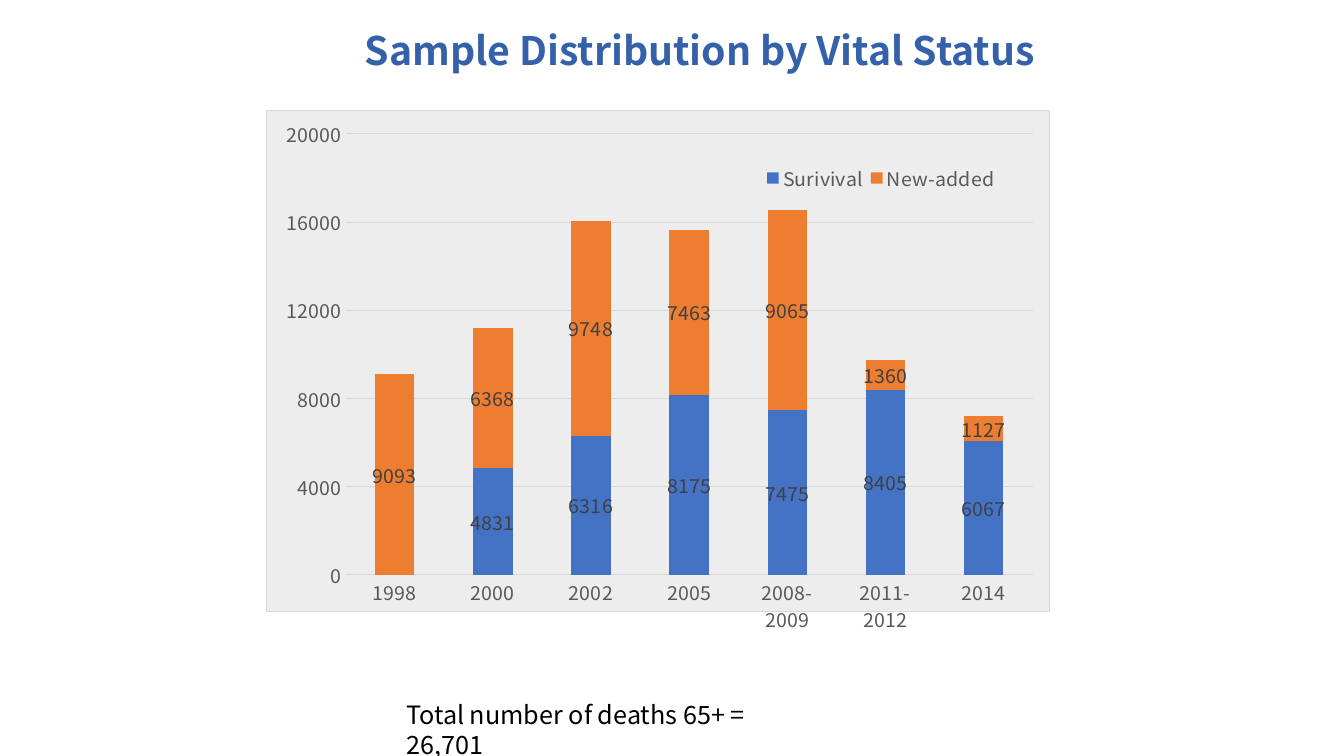
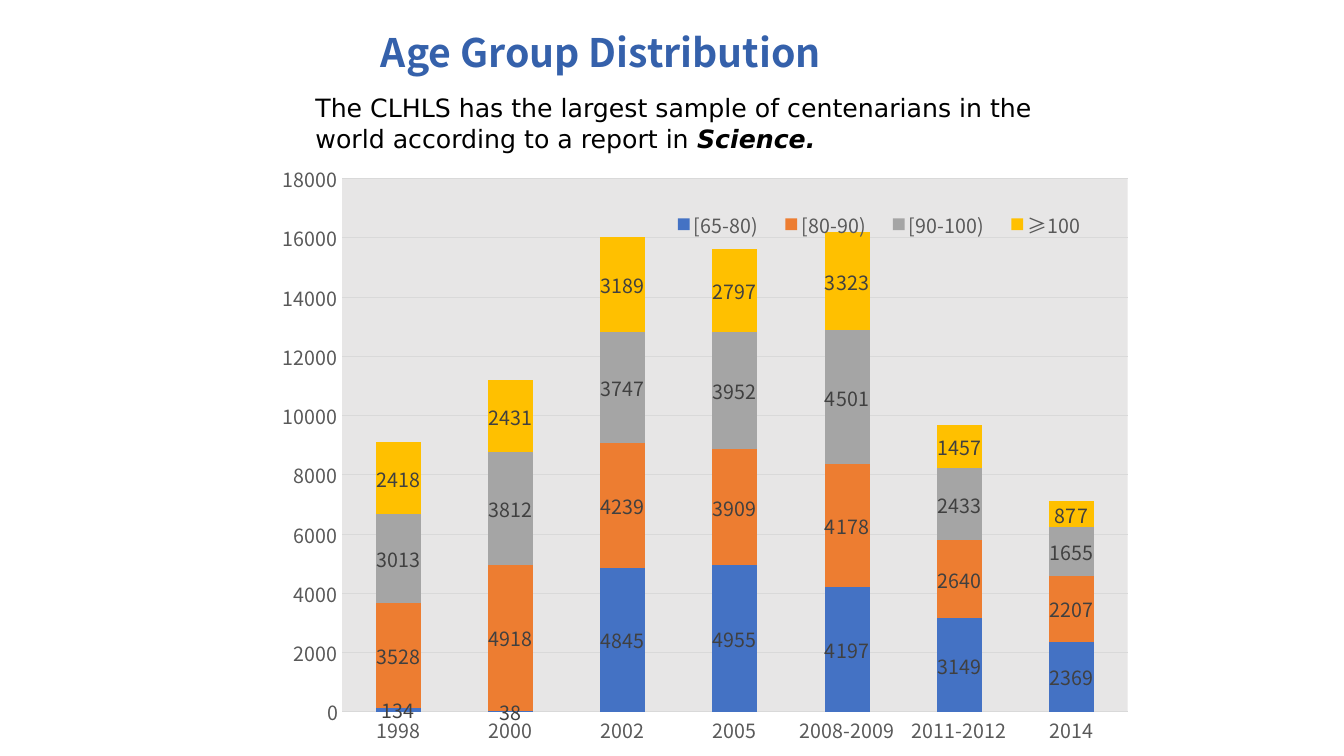
from dataclasses import dataclass

from lxml import etree
from pptx import Presentation
from pptx.chart.data import CategoryChartData
from pptx.dml.color import RGBColor
from pptx.enum.chart import XL_CHART_TYPE as Kind
from pptx.enum.chart import XL_LABEL_POSITION as Spot
from pptx.enum.chart import XL_LEGEND_POSITION as Side
from pptx.enum.chart import XL_TICK_MARK as Tick
from pptx.oxml import parse_xml
from pptx.oxml.ns import nsdecls, qn
from pptx.util import Inches, Pt


@dataclass(frozen=True)
class Theme:
    font: str = "Noto Sans CJK SC"
    plain: str = "DejaVu Sans"
    title: str = "3561AB"
    ink: str = "000000"
    axis: str = "595959"
    label: str = "404040"
    grid: str = "D9D9D9"
    bars: tuple = ("4472C4", "ED7D31", "A5A5A5", "FFC000")
    head: int = 28
    body: int = 18
    small: int = 14
    hair: float = 0.75


YEARS = ("1998", "2000", "2002", "2005", "2008-2009", "2011-2012", "2014")

STATUS = {
    "Surivival": (0, 4831, 6316, 8175, 7475, 8405, 6067),
    "New-added": (9093, 6368, 9748, 7463, 9065, 1360, 1127),
}

AGES = {
    "[65-80)": (134, 38, 4845, 4955, 4197, 3149, 2369),
    "[80-90)": (3528, 4918, 4239, 3909, 4178, 2640, 2207),
    "[90-100)": (3013, 3812, 3747, 3952, 4501, 2433, 1655),
    "≥100": (2418, 2431, 3189, 2797, 3323, 1457, 877),
}


def layout(box, inner=False):
    """Manual chart layout; box is x, y, width, height as shares of the chart."""
    root = parse_xml(f"<c:layout {nsdecls('c')}><c:manualLayout/></c:layout>")
    items = [("layoutTarget", "inner")] if inner else []
    items += [("xMode", "edge"), ("yMode", "edge"), *zip("xywh", box)]
    for tag, val in items:
        etree.SubElement(root[0], qn(f"c:{tag}")).set("val", str(val))
    return root


def paint(fill=None, line=None, width=0):
    """Chart shape properties with a solid or absent fill and line."""
    def ink(color):
        if not color:
            return "<a:noFill/>"
        return f'<a:solidFill><a:srgbClr val="{color}"/></a:solidFill>'

    return parse_xml(
        f"<c:spPr {nsdecls('c', 'a')}>{ink(fill)}"
        f'<a:ln w="{Pt(width)}">{ink(line)}</a:ln></c:spPr>')


class Deck:
    def __init__(self, theme):
        self.theme = theme
        self.file = Presentation()
        self.file.slide_width = Inches(13.33)
        self.file.slide_height = Inches(7.5)
        self.slide = None

    def page(self):
        self.slide = self.file.slides.add_slide(self.file.slide_layouts[6])

    def style(self, font, size, color, name=None):
        font.name = name or self.theme.font
        font.size = Pt(size)
        font.color.rgb = RGBColor.from_string(color)

    def text(self, at, runs, size, color, name=None):
        """Add a one-paragraph box; runs are (words, bold, italic)."""
        frame = self.slide.shapes.add_textbox(*map(Inches, at)).text_frame
        frame.word_wrap = True
        para = frame.paragraphs[0]
        for words, bold, slant in runs:
            run = para.add_run()
            run.text = words
            self.style(run.font, size, color, name)
            run.font.bold = bold
            run.font.italic = slant
        return para

    def title(self, left, top, words):
        para = self.text((left, top, 8.68, 0.57), [(words, True, False)],
                         self.theme.head, self.theme.title)
        para.line_spacing = 0.9

    def note(self, at, *runs, name=None):
        self.text(at, runs, self.theme.body, self.theme.ink, name)

    def stack(self, at, rows, top, step, plot, key,
              back=None, edge=None, wall=None, over=False):
        """Add a stacked column chart; plot and key place the plot and legend."""
        look = self.theme
        data = CategoryChartData()
        data.categories = YEARS
        for name, vals in rows.items():
            data.add_series(name, vals)
        chart = self.slide.shapes.add_chart(
            Kind.COLUMN_STACKED, *map(Inches, at), data).chart
        chart.has_title = False
        self.style(chart.font, look.small, look.ink)
        self.axes(chart, top, step)
        self.bars(chart.plots[0])
        self.legend(chart, key, over)

        area = chart.element.find(".//" + qn("c:plotArea"))
        for old in area.findall(qn("c:layout")):
            area.remove(old)
        area.insert(0, layout(plot, inner=True))
        area.append(paint(wall))
        chart.element.find(qn("c:txPr")).addprevious(
            paint(back, edge, look.hair))

    def axes(self, chart, top, step):
        look = self.theme
        cat, val = chart.category_axis, chart.value_axis
        for axis in (cat, val):
            axis.major_tick_mark = axis.minor_tick_mark = Tick.NONE
            self.style(axis.tick_labels.font, look.small, look.axis)
        val.minimum_scale, val.maximum_scale = 0, top
        val.major_unit = step
        val.format.line.fill.background()
        for line in (cat.format.line, val.major_gridlines.format.line):
            line.color.rgb = RGBColor.from_string(look.grid)
            line.width = Pt(look.hair)

    def bars(self, plot):
        look = self.theme
        plot.gap_width, plot.overlap = 150, 100
        plot.vary_by_categories = False
        for row, color in zip(plot.series, look.bars):
            row.format.fill.solid()
            row.format.fill.fore_color.rgb = RGBColor.from_string(color)
            tags = row.data_labels
            tags.show_value = True
            tags.position = Spot.CENTER
            # The empty sections leave zero values without a label.
            tags.number_format = "0;;;"
            tags.number_format_is_linked = False
            self.style(tags.font, look.small, look.label)

    def legend(self, chart, box, over):
        chart.has_legend = True
        key = chart.legend
        key.position = Side.BOTTOM
        key.include_in_layout = over
        self.style(key.font, self.theme.small, self.theme.axis)
        root = chart.element.find(".//" + qn("c:legend"))
        for old in root.findall(qn("c:layout")):
            root.remove(old)
        root.find(qn("c:legendPos")).addnext(layout(box))


def main():
    look = Theme()
    deck = Deck(look)

    deck.page()
    deck.title(3.52, 0.26, "Sample Distribution by Vital Status")
    deck.stack((2.64, 1.09, 7.77, 5.19), STATUS, 20000, 4000,
               plot=(0.101, 0.047, 0.878, 0.881),
               key=(0.63, 0.1, 0.31, 0.07),
               back="EDEDED", edge=look.grid, over=True)
    deck.note((3.93, 6.89, 4.27, 0.4),
              ("Total number of deaths 65+ = 26,701", False, False))

    deck.page()
    deck.stack((2.39, 1.58, 8.8, 6.45), AGES, 18000, 2000,
               plot=(0.114, 0.03, 0.886, 0.82),
               key=(0.47, 0.07, 0.5, 0.06), wall="E7E6E6")
    deck.title(3.68, 0.28, "Age Group Distribution")
    deck.note((3.03, 0.87, 7.65, 0.71),
              ("The CLHLS has the largest sample of centenarians in the "
               "world according to a report in ", False, False),
              ("Science.", True, True), name=look.plain)

    deck.file.save("out.pptx")


if __name__ == "__main__":
    main()
